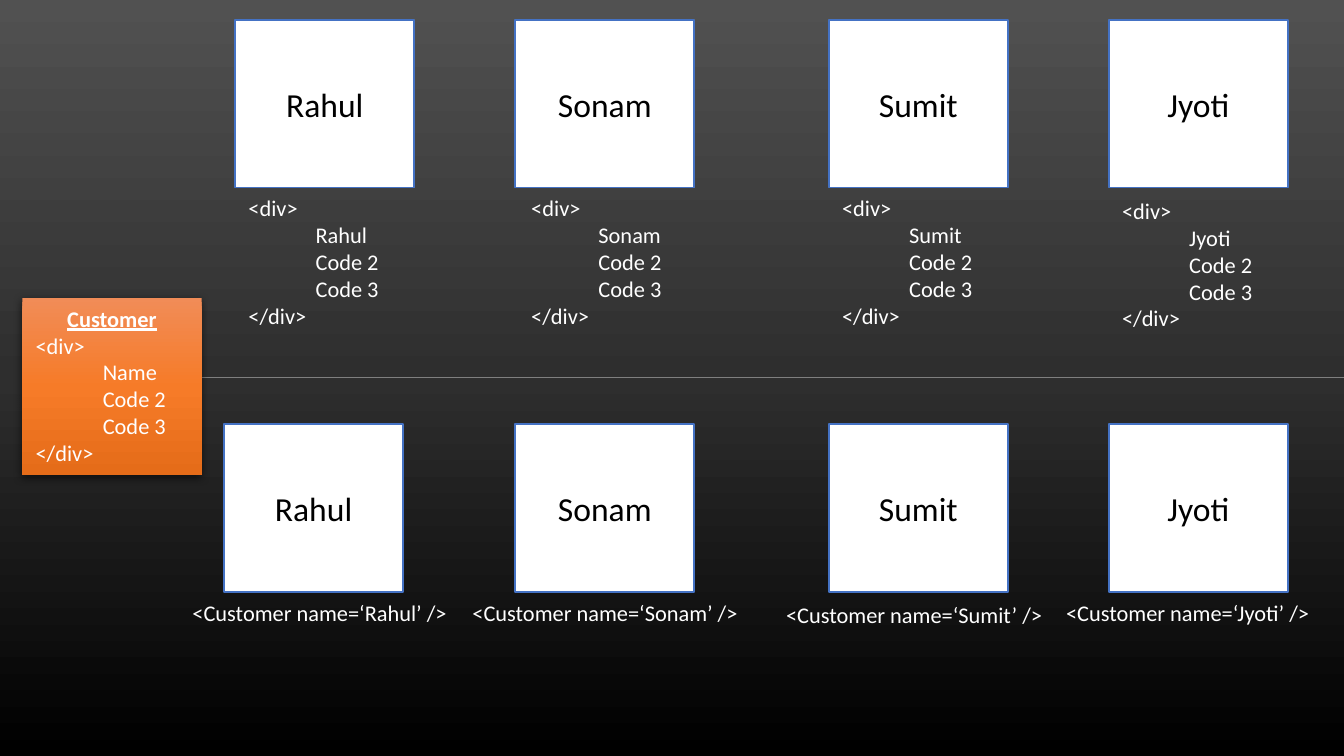
from copy import deepcopy
from dataclasses import dataclass
from typing import Any

from lxml.etree import SubElement
from pptx import Presentation
from pptx.dml.color import RGBColor
from pptx.enum.shapes import MSO_CONNECTOR, MSO_SHAPE
from pptx.enum.text import MSO_ANCHOR, MSO_AUTO_SIZE, PP_ALIGN
from pptx.oxml.ns import qn
from pptx.util import Emu, Pt

EMU_PER_PX = 9525  # 96 px to the inch
SLIDE_W, SLIDE_H = 960, 540
CARD_W, CARD_H = 128, 120
TOP_ROW, BOTTOM_ROW = 14, 303
SNIPPET_H, CAPTION_H = 107, 29
INDENT = 48

COLORS = {
    "card": "FFFFFF",
    "border": "4472C4",
    "divider": "7F7F7F",
    "name": "000000",
    "code": "FFFFFF",
    "shadow": "000000",
    "sky_top": "515151",
    "sky_middle": "2E2E2E",
    "sky_bottom": "000000",
    "component_top": "F18C57",
    "component_middle": "F67B28",
    "component_bottom": "E56C19",
}
NAME_FONT = {"name": "Calibri", "size": Pt(18)}
CODE_FONT = {"name": "Calibri", "size": Pt(12)}
TITLE_FONT = CODE_FONT | {"bold": True, "underline": True}
CARD_FRAME = {"word_wrap": True, "vertical_anchor": MSO_ANCHOR.MIDDLE}
CODE_FRAME = {
    "word_wrap": True,
    "vertical_anchor": MSO_ANCHOR.TOP,
    "auto_size": MSO_AUTO_SIZE.SHAPE_TO_FIT_TEXT,
}


@dataclass(frozen=True)
class Customer:
    name: str
    top_left: int
    bottom_left: int
    snippet_left: int
    snippet_top: int
    caption_left: int
    caption_top: int
    caption_width: int


@dataclass(frozen=True)
class Line:
    text: str
    font: dict[str, Any]
    color: str = "code"
    align: PP_ALIGN = PP_ALIGN.LEFT
    indented: bool = False


CUSTOMERS = [
    Customer("Rahul", 168, 160, 168, 134, 128, 423, 208),
    Customer("Sonam", 368, 368, 370, 134, 328, 423, 216),
    Customer("Sumit", 592, 592, 592, 134, 552, 425, 208),
    Customer("Jyoti", 792, 792, 792, 136, 752, 423, 208),
]


def px(*lengths: int) -> list[Emu]:
    return [Emu(length * EMU_PER_PX) for length in lengths]


def rgb(key: str) -> RGBColor:
    return RGBColor.from_string(COLORS[key])


def apply(target: Any, values: dict[str, Any]) -> None:
    for attribute, value in values.items():
        setattr(target, attribute, value)


def fill_gradient(fill: Any, owner: Any, prefix: str) -> None:
    """Fill from top to bottom with three evenly spaced colours."""
    fill.gradient()
    fill.gradient_angle = 270
    stops = next(owner.iter(qn("a:gsLst")))
    stops.append(deepcopy(stops[0]))
    for index, part in enumerate(("top", "middle", "bottom")):
        stop = fill.gradient_stops[index]
        stop.color.rgb = rgb(f"{prefix}_{part}")
        stop.position = index / 2


def write(frame: Any, lines: list[Line], layout: dict[str, Any]) -> None:
    apply(frame, layout)
    for index, line in enumerate(lines):
        paragraph = frame.add_paragraph() if index else frame.paragraphs[0]
        paragraph.alignment = line.align
        if line.indented:
            paragraph.level = 1
            properties = paragraph._p.get_or_add_pPr()
            properties.set("marL", str(INDENT * EMU_PER_PX))
            properties.set("indent", "0")
        run = paragraph.add_run()
        run.text = line.text
        apply(run.font, line.font)
        run.font.color.rgb = rgb(line.color)


def div_lines(name: str) -> list[Line]:
    body = [Line(text, CODE_FONT, indented=True) for text in (name, "Code 2", "Code 3")]
    return [Line("<div>", CODE_FONT), *body, Line("</div>", CODE_FONT)]


def add_card(shapes: Any, name: str, left: int, top: int) -> None:
    card = shapes.add_shape(MSO_SHAPE.RECTANGLE, *px(left, top, CARD_W, CARD_H))
    card.shadow.inherit = False
    card.fill.solid()
    card.fill.fore_color.rgb = rgb("card")
    card.line.color.rgb = rgb("border")
    card.line.width = Pt(1)
    write(card.text_frame, [Line(name, NAME_FONT, "name", PP_ALIGN.CENTER)], CARD_FRAME)


def add_code(shapes: Any, lines: list[Line], *box: int) -> None:
    write(shapes.add_textbox(*px(*box)).text_frame, lines, CODE_FRAME)


def add_divider(shapes: Any) -> None:
    divider = shapes.add_connector(MSO_CONNECTOR.STRAIGHT, *px(144, 270, SLIDE_W, 270))
    divider.line.color.rgb = rgb("divider")
    divider.line.width = Pt(0.5)
    SubElement(divider.element.spPr, qn("a:effectLst"))


def add_component(shapes: Any) -> None:
    """Add the reusable Customer block with its soft shadow."""
    component = shapes.add_shape(MSO_SHAPE.RECTANGLE, *px(16, 213, CARD_W, 126))
    fill_gradient(component.fill, component.element, "component")
    component.line.fill.background()
    component.shadow.inherit = False
    effects = component.element.spPr.find(qn("a:effectLst"))
    shadow = SubElement(effects, qn("a:outerShdw"), blurRad=str(Pt(4.5)),
                        dist=str(Pt(1.5)), dir="5400000", algn="ctr", rotWithShape="0")
    color = SubElement(shadow, qn("a:srgbClr"), val=COLORS["shadow"])
    SubElement(color, qn("a:alpha"), val="63000")
    title = Line("Customer", TITLE_FONT, align=PP_ALIGN.CENTER)
    write(component.text_frame, [title, *div_lines("Name")], CODE_FRAME)


def main() -> None:
    deck = Presentation()
    deck.slide_width, deck.slide_height = px(SLIDE_W, SLIDE_H)
    slide = deck.slides.add_slide(deck.slide_layouts[6])
    fill_gradient(slide.background.fill, slide.element, "sky")
    shapes = slide.shapes

    for customer in CUSTOMERS:
        add_card(shapes, customer.name, customer.top_left, TOP_ROW)
        add_code(shapes, div_lines(customer.name),
                 customer.snippet_left, customer.snippet_top, CARD_W, SNIPPET_H)
    add_divider(shapes)
    add_component(shapes)
    for customer in CUSTOMERS:
        add_card(shapes, customer.name, customer.bottom_left, BOTTOM_ROW)
        caption = Line(f"<Customer name=‘{customer.name}’ />", CODE_FONT)
        add_code(shapes, [caption], customer.caption_left, customer.caption_top,
                 customer.caption_width, CAPTION_H)

    deck.save("out.pptx")


if __name__ == "__main__":
    main()
